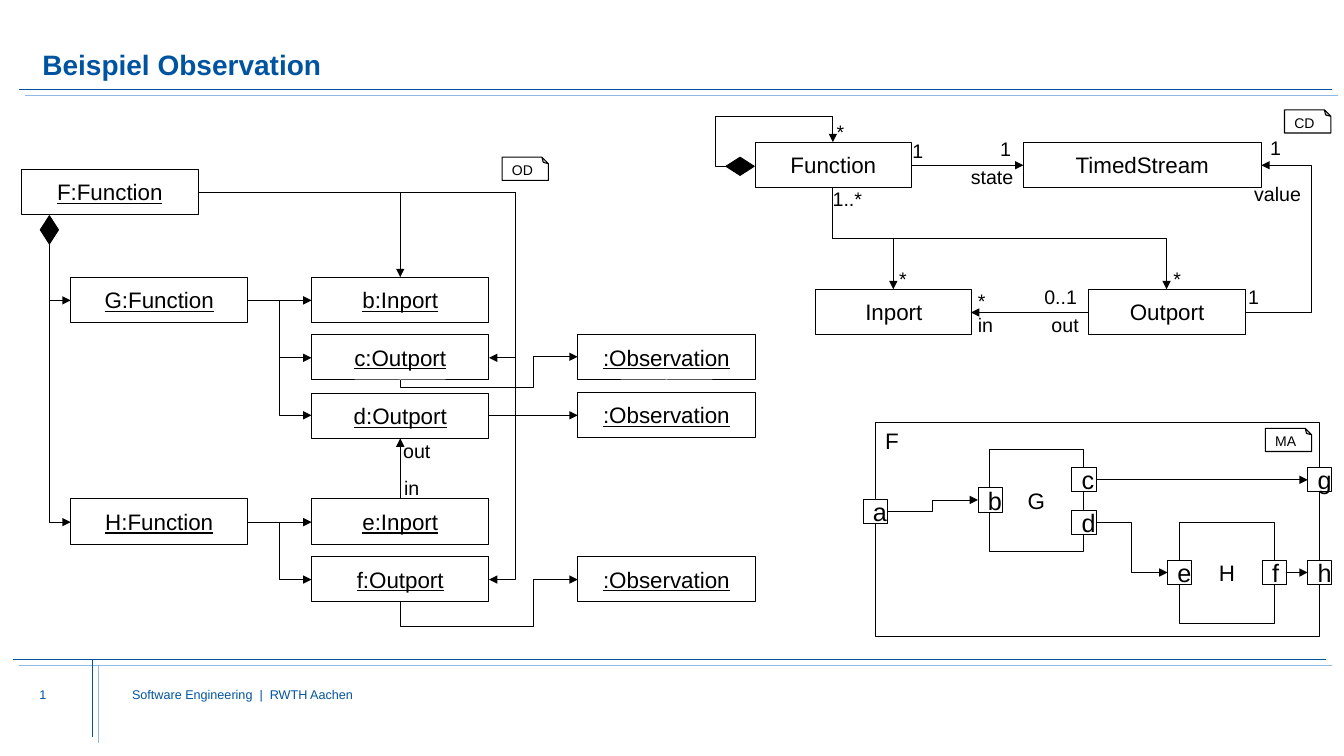
from dataclasses import dataclass

from lxml import etree
from pptx import Presentation
from pptx.dml.color import RGBColor
from pptx.enum.shapes import MSO_CONNECTOR, MSO_SHAPE
from pptx.enum.text import MSO_ANCHOR, MSO_AUTO_SIZE, PP_ALIGN
from pptx.oxml.ns import qn
from pptx.util import Emu, Pt

RECTANGLE, DIAMOND, NOTE = MSO_SHAPE.RECTANGLE, MSO_SHAPE.DIAMOND, MSO_SHAPE.FOLDED_CORNER
STRAIGHT, ELBOW = MSO_CONNECTOR.STRAIGHT, MSO_CONNECTOR.ELBOW
TOP, MIDDLE, BOTTOM = MSO_ANCHOR.TOP, MSO_ANCHOR.MIDDLE, MSO_ANCHOR.BOTTOM
LEFT, CENTER = PP_ALIGN.LEFT, PP_ALIGN.CENTER
FIT_TEXT = MSO_AUTO_SIZE.SHAPE_TO_FIT_TEXT

EMU_PER_PX = 9144  # 100 px to the inch
COLORS = {"blue": "00549F", "light": "8EBAE5", "black": "000000", "white": "FFFFFF"}
NO_INSETS = {"margin_left": 0, "margin_right": 0, "margin_top": 0, "margin_bottom": 0}


@dataclass
class Box:
    """A drawn shape with an optional text."""
    left: int
    top: int
    width: int
    height: int
    text: str = ""
    kind: int = RECTANGLE
    fill: str = ""
    weight: float = 0.75
    size: int = 16
    underline: bool = False
    anchor: int = MIDDLE
    align: int = CENTER
    wrap: bool = True
    rotation: int = 0


@dataclass
class Label:
    """A free text; page texts carry no insets."""
    left: int
    top: int
    width: int
    height: int
    text: str
    size: int = 14
    color: str = "black"
    bold: bool = False
    anchor: int = TOP
    inset: bool = True


@dataclass
class Wire:
    """A line; a bend is (turn, flips, adjustments)."""
    start: tuple
    end: tuple
    bend: tuple = ()
    weight: float = 0.75
    color: str = "black"
    arrow: bool = True


def px(value: float) -> Emu:
    return Emu(round(value * EMU_PER_PX))


def rgb(name: str) -> RGBColor:
    return RGBColor.from_string(COLORS[name])


def apply(target, values: dict) -> None:
    for name, value in values.items():
        setattr(target, name, value)


def set_guides(properties, guides: dict) -> None:
    values = properties.find(qn("a:prstGeom")).find(qn("a:avLst"))
    for name, share in guides.items():
        etree.SubElement(values, qn("a:gd"), name=name, fmla=f"val {round(share * 100000)}")


def write(shape, text: str, size: int, color: str, frame: dict, paragraph_format: dict,
          font_format: dict) -> None:
    apply(shape.text_frame, frame)
    paragraph = shape.text_frame.paragraphs[0]
    apply(paragraph, paragraph_format)
    run = paragraph.add_run()
    run.text = text
    apply(run.font, {"name": "Arial", "size": Pt(size), **font_format})
    run.font.color.rgb = rgb(color)


def draw_box(slide, box: Box) -> None:
    shape = slide.shapes.add_shape(box.kind, px(box.left), px(box.top), px(box.width), px(box.height))
    shape.shadow.inherit = False
    shape.rotation = box.rotation
    if box.fill:
        shape.fill.solid()
        shape.fill.fore_color.rgb = rgb(box.fill)
    else:
        shape.fill.background()
    shape.line.width = Pt(box.weight)
    shape.line.color.rgb = rgb("black")
    spacing = {}
    if box.kind == NOTE:  # fold at the top, text kept upright
        set_guides(shape.element.spPr, {"adj": 0.28})
        shape.element.spPr.xfrm.flipV = True
        shape.element.txBody.find(qn("a:bodyPr")).set("rot", "10800000")
        spacing = {"line_spacing": 0.7}
    if box.text:
        write(shape, box.text, box.size, "black",
              {"word_wrap": box.wrap, "vertical_anchor": box.anchor},
              {"alignment": box.align, **spacing}, {"underline": box.underline})


def draw_label(slide, label: Label) -> None:
    shape = slide.shapes.add_textbox(px(label.left), px(label.top), px(label.width), px(label.height))
    frame = {"auto_size": FIT_TEXT} if label.inset else NO_INSETS
    write(shape, label.text, label.size, label.color,
          {"word_wrap": True, "vertical_anchor": label.anchor, **frame},
          {"line_spacing": 0.9} if label.bold else {}, {"bold": label.bold})


def draw_wire(slide, wire: Wire) -> None:
    (x1, y1), (x2, y2) = wire.start, wire.end
    connector = slide.shapes.add_connector(ELBOW if wire.bend else STRAIGHT, px(x1), px(y1), px(x2), px(y2))
    properties = connector.element.spPr
    if wire.bend:
        turn, flips, adjustments = wire.bend
        width, height = abs(x2 - x1), abs(y2 - y1)
        if turn % 180:
            width, height = height, width
        apply(connector, {"left": px((x1 + x2 - width) / 2), "top": px((y1 + y2 - height) / 2),
                          "width": px(width), "height": px(height)})
        apply(properties.xfrm, {"rot": float(turn), "flipH": "h" in flips, "flipV": "v" in flips})
        properties.find(qn("a:prstGeom")).set("prst", f"bentConnector{len(adjustments) + 2}")
        set_guides(properties, {f"adj{number}": share for number, share in enumerate(adjustments, 1)})
    connector.line.width = Pt(wire.weight)
    connector.line.color.rgb = rgb(wire.color)
    if wire.arrow:
        etree.SubElement(properties.find(qn("a:ln")), qn("a:tailEnd"), type="triangle")
    etree.SubElement(properties, qn("a:effectLst"))


# Page frame: each blue rule has a light one 6 px further right and down
RULES = [Wire((x1 + shift, y1 + shift), (x2 + shift, y2 + shift), (), 0.5, color, False)
         for x1, y1, x2, y2 in [(19, 89, 1321, 89), (13, 654, 1315, 654), (92, 654, 92, 731)]
         for shift, color in [(0, "blue"), (6, "light")]]
PAGE_TEXTS = [
    Label(42, 22, 1256, 59, "Beispiel Observation", 20, "blue", True, BOTTOM, False),
    Label(39, 681, 80, 43, "1", 9, "blue", inset=False),
    Label(131, 681, 766, 69, "Software Engineering  |  RWTH Aachen", 9, "blue", inset=False),
]

# Boxes of the object diagram and the class diagram
OBJECTS = [Box(left, top, 176, 45, text, underline=True, wrap=False) for left, top, text in [
    (21, 168, "F:Function"), (70, 275, "G:Function"), (70, 495, "H:Function"),
    (309, 275, "b:Inport"), (309, 332, "c:Outport"), (309, 390, "d:Outport"),
    (309, 495, "e:Inport"), (309, 552, "f:Outport"),
    (573, 332, ":Observation"), (573, 389, ":Observation"), (573, 552, ":Observation")]]
CLASSES = [Box(left, top, width, 45, text, wrap=False) for left, top, width, text in [
    (749, 141, 155, "Function"), (1015, 141, 236, "TimedStream"),
    (809, 287, 155, "Inport"), (1080, 287, 155, "Outport")]]
DIAMONDS = [Box(40, 214, 18, 28, kind=DIAMOND, fill="black"),
            Box(725, 151, 18, 28, kind=DIAMOND, fill="black", rotation=90)]

# Architecture: frame, two inner components and their ports
COMPONENTS = [Box(868, 419, 441, 212, "F", fill="white", anchor=TOP, align=LEFT),
              Box(981, 446, 94, 101, "G", fill="white"),
              Box(1170, 518, 94, 101, "H", fill="white")]
PORTS = [Box(left, top, 24, 24, text, fill="white", weight=0.5, size=18) for left, top, text in [
    (856, 495, "a"), (970, 484, "b"), (1063, 464, "c"), (1063, 506, "d"),
    (1158, 556, "e"), (1252, 556, "f"), (1297, 464, "g"), (1297, 556, "h")]]
NOTES = [Box(left, top, 46, 23, text, NOTE, "white", size=10, align=LEFT, wrap=False)
         for left, top, text in [(498, 156, "OD"), (1274, 109, "CD"), (1255, 425, "MA")]]

# Links; outgoing elbows share a few bends
HALFWAY, DOWN = (0, "", (0.5,)), (270, "h", (0.5,))
DOWN_CORNER, AROUND_RIGHT = (270, "h", ()), (0, "", (1.09,))
OBJECT_LINKS = [
    Wire((49, 242), (70, 298), DOWN_CORNER), Wire((49, 242), (70, 518), DOWN_CORNER),
    Wire((197, 191), (397, 275), (0, "", ())),
    Wire((197, 191), (485, 355), AROUND_RIGHT), Wire((197, 191), (485, 575), AROUND_RIGHT),
    Wire((246, 298), (309, 298)), Wire((246, 298), (309, 355), HALFWAY),
    Wire((246, 298), (309, 412), HALFWAY),
    Wire((246, 518), (309, 518)), Wire((246, 518), (309, 575), HALFWAY),
    Wire((397, 495), (397, 435)), Wire((485, 412), (573, 412)),
    Wire((397, 377), (573, 354), (90, "hv", (-0.31, 0.75))),
    Wire((397, 597), (573, 575), (90, "hv", (-1.11, 0.75))),
]
CLASS_LINKS = [
    Wire((826, 186), (886, 287), DOWN), Wire((826, 186), (1157, 287), DOWN),
    Wire((1235, 310), (1251, 164), (0, "v", (4.09,))),
    Wire((721, 165), (826, 141), (180, "h", (-0.11, 2.07))),
    Wire((1080, 310), (963, 310)), Wire((904, 164), (1015, 164)),
]
PORT_LINKS = [Wire(start, end, bend, 0.5) for start, end, bend in [
    ((880, 507), (970, 496), (0, "v", (0.5,))), ((1087, 518), (1158, 568), HALFWAY),
    ((1087, 476), (1297, 476), ()), ((1275, 568), (1297, 568), ())]]

# Roles and multiplicities
ROLES = [Label(left, top, width, 34, text) for left, top, width, text in [
    (391, 467, 62, "in"), (390, 431, 62, "out"), (1033, 306, 62, "out"), (960, 306, 62, "in"),
    (960, 282, 29, "*"), (1026, 278, 57, "0..1"), (982, 131, 29, "1"), (953, 159, 81, "state"),
    (882, 260, 29, "*"), (1250, 130, 29, "1"), (1154, 260, 29, "*"), (1234, 176, 81, "value"),
    (895, 133, 29, "1"), (1228, 278, 29, "1"), (816, 181, 60, "1..*"), (820, 114, 29, "*")]]


def main() -> None:
    presentation = Presentation()
    apply(presentation, {"slide_width": px(1333), "slide_height": px(750)})
    slide = presentation.slides.add_slide(presentation.slide_layouts[6])
    for wire in RULES:
        draw_wire(slide, wire)
    for box in OBJECTS + CLASSES + DIAMONDS + COMPONENTS + PORTS + NOTES:
        draw_box(slide, box)
    for wire in OBJECT_LINKS + CLASS_LINKS + PORT_LINKS:
        draw_wire(slide, wire)
    for label in PAGE_TEXTS + ROLES:
        draw_label(slide, label)
    presentation.save("out.pptx")


if __name__ == "__main__":
    main()
